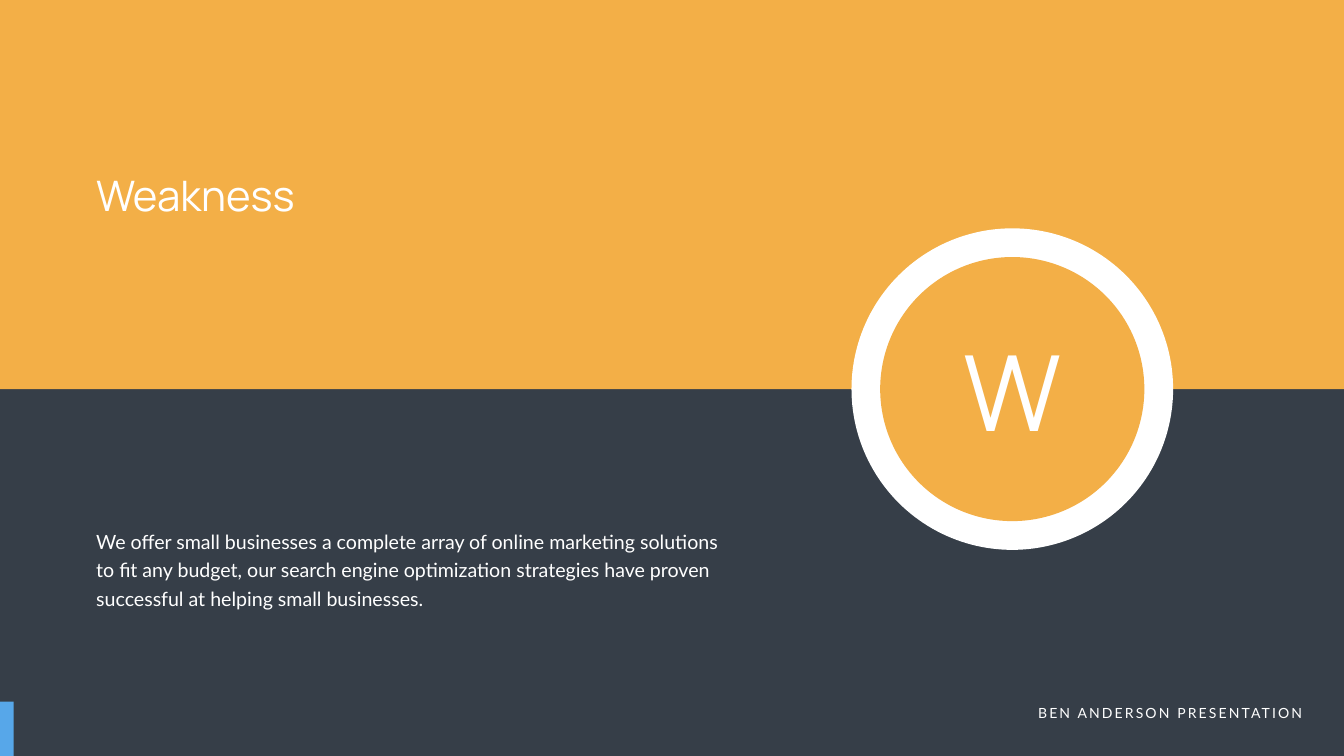
"""Build the Weakness slide with its two-tone background and letter badge."""
from pptx import Presentation
from pptx.dml.color import RGBColor
from pptx.enum.shapes import MSO_SHAPE
from pptx.enum.text import MSO_ANCHOR, MSO_AUTO_SIZE, PP_ALIGN
from pptx.util import Pt

RECTANGLE, OVAL = MSO_SHAPE.RECTANGLE, MSO_SHAPE.OVAL
TOP, MIDDLE = MSO_ANCHOR.TOP, MSO_ANCHOR.MIDDLE
LEFT, CENTER, RIGHT = PP_ALIGN.LEFT, PP_ALIGN.CENTER, PP_ALIGN.RIGHT
GROW = MSO_AUTO_SIZE.SHAPE_TO_FIT_TEXT

AMBER = RGBColor(0xF3, 0xAF, 0x47)
SLATE = RGBColor(0x36, 0x3E, 0x48)
BLUE = RGBColor(0x57, 0xA7, 0xE9)
WHITE = RGBColor(0xFF, 0xFF, 0xFF)

TITLE = "Weakness"
LETTER = "W"
BODY = (
    "We offer small businesses a complete array of online marketing solutions "
    "to fit any budget, our search engine optimization strategies have proven "
    "successful at helping small businesses."
)
FOOTER = "BEN ANDERSON PRESENTATION"

SLIDE_WIDTH, SLIDE_HEIGHT = 1919.52, 1080
BAND_HEIGHT = 555.84
MARGIN = 130.32
FOOTER_TOP = 1002.24
BADGE_X, BADGE_Y = 1445.76, BAND_HEIGHT
RINGS = [(459.36, WHITE), (377.28, AMBER)]
LETTER_WIDTH, LETTER_HEIGHT = 262.08, 189.36


def add_filled(shapes, kind, box, color):
    shape = shapes.add_shape(kind, *map(Pt, box))
    shape.shadow.inherit = False
    shape.fill.solid()
    shape.fill.fore_color.rgb = color
    shape.line.fill.background()


def add_text(shapes, text, box, font, size, align=LEFT, anchor=TOP, line=None, tracking=None):
    frame = shapes.add_textbox(*map(Pt, box)).text_frame
    frame.word_wrap = True
    frame.auto_size = GROW
    frame.vertical_anchor = anchor
    paragraph = frame.paragraphs[0]
    paragraph.alignment = align
    if line:
        paragraph.line_spacing = Pt(line)
    run = paragraph.add_run()
    run.text = text
    run.font.name = font
    run.font.size = Pt(size)
    run.font.color.rgb = WHITE
    if tracking:
        run.font._element.set("spc", str(tracking * 100))


def centered(width, height):
    return BADGE_X - width / 2, BADGE_Y - height / 2, width, height


def main():
    presentation = Presentation()
    presentation.slide_width, presentation.slide_height = Pt(SLIDE_WIDTH), Pt(SLIDE_HEIGHT)
    slide = presentation.slides.add_slide(presentation.slide_layouts[6])
    slide.background.fill.solid()
    slide.background.fill.fore_color.rgb = SLATE
    shapes = slide.shapes

    add_filled(shapes, RECTANGLE, (0, 0, SLIDE_WIDTH, BAND_HEIGHT), AMBER)
    badge = shapes.add_group_shape().shapes
    for diameter, color in RINGS:
        add_filled(badge, OVAL, centered(diameter, diameter), color)
    letter_box = centered(LETTER_WIDTH, LETTER_HEIGHT)
    add_text(badge, LETTER, letter_box, "Manrope", 150, CENTER, MIDDLE)

    add_text(shapes, BODY, (MARGIN, 745.92, 915.12, 127.44), "Lato", 28, line=40.8)
    footer_box = (1445.76, FOOTER_TOP, 421.2, 31.68)
    add_text(shapes, FOOTER, footer_box, "Lato", 20, RIGHT, tracking=3)
    accent_box = (0, FOOTER_TOP, 19.44, SLIDE_HEIGHT - FOOTER_TOP)
    add_filled(shapes, RECTANGLE, accent_box, BLUE)
    add_text(shapes, TITLE, (MARGIN, 237.6, 383.04, 79.92), "Manrope", 60, anchor=MIDDLE)
    presentation.save("out.pptx")


if __name__ == "__main__":
    main()
